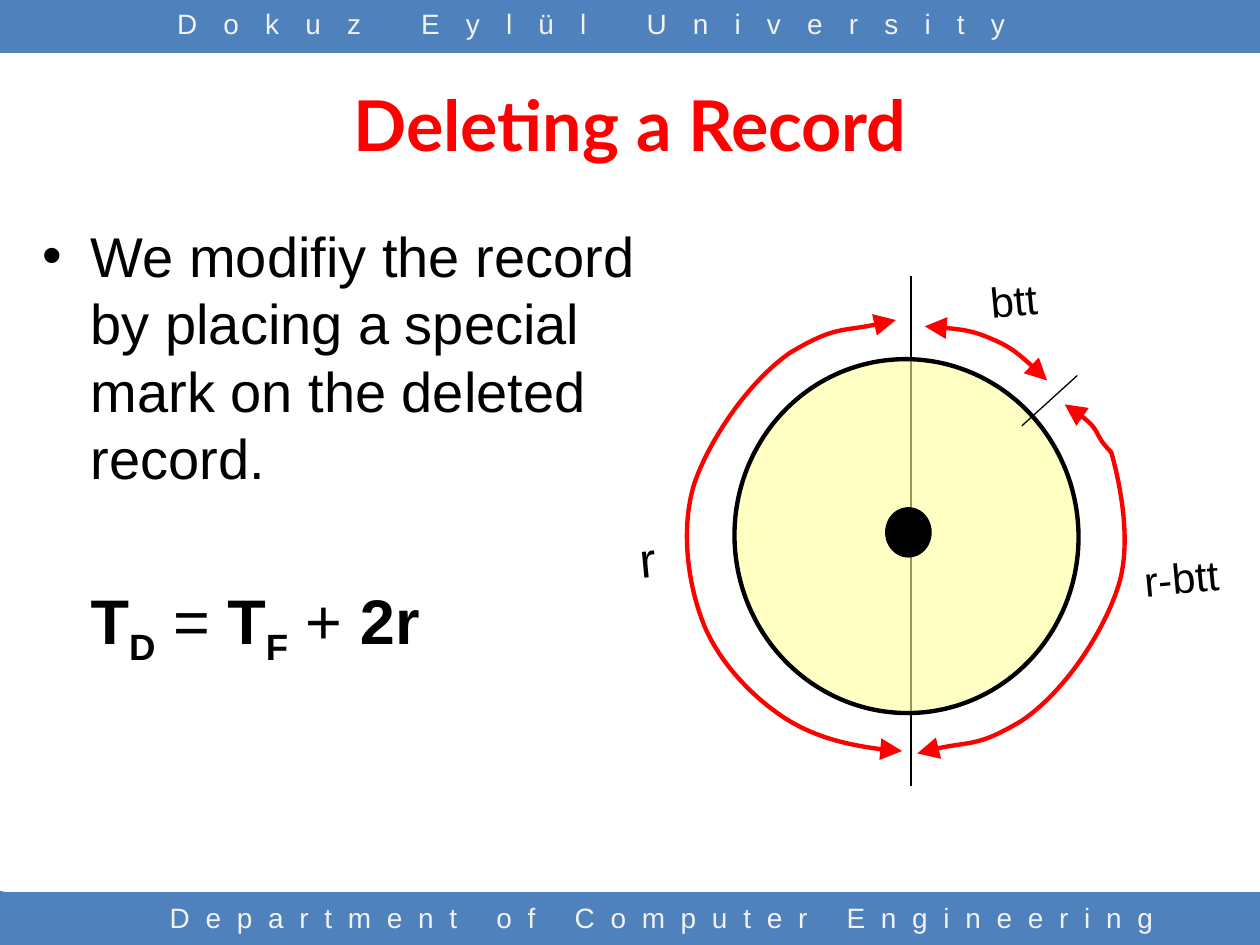
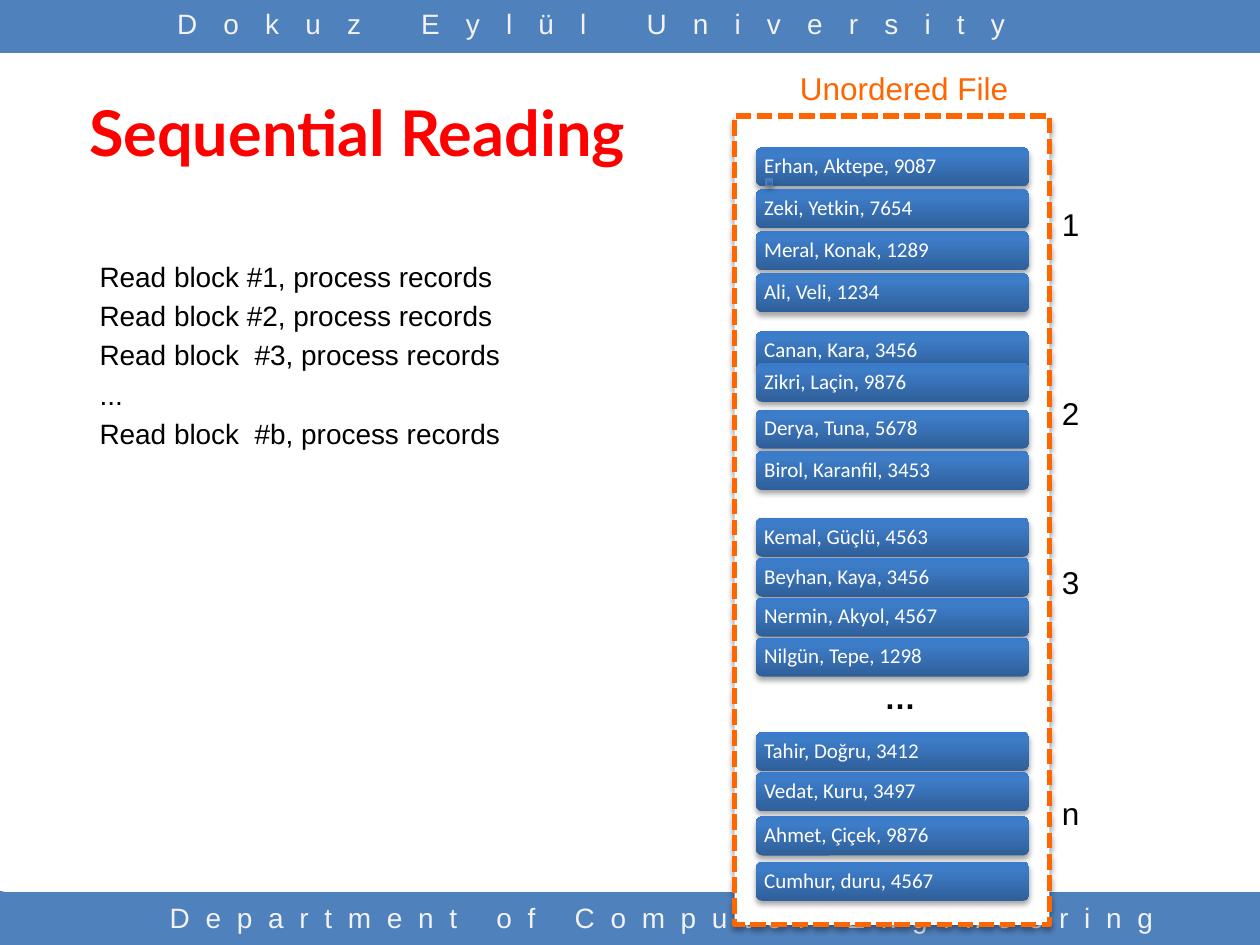
from lxml.etree import SubElement
from pptx import Presentation
from pptx.dml.color import RGBColor
from pptx.enum.dml import MSO_LINE
from pptx.enum.shapes import MSO_CONNECTOR, MSO_SHAPE
from pptx.enum.text import MSO_ANCHOR, MSO_AUTO_SIZE, PP_ALIGN
from pptx.oxml.ns import qn
from pptx.util import Inches, Pt

BAND_BLUE = "4F81BD"
BAND_TEXT = "F2F2F2"
RED = "FF0000"
ORANGE = "FF6600"
BLACK = "000000"
WHITE = "FFFFFF"
DISC_YELLOW = "FFFF99"
SQUARE_EDGE = "4B7EBC"
RECORD_GRADIENT = [(0, "2F5F99"), (80, "3D7CC7"), (100, "3A7CCB")]
LABEL_TILT = -5.5
BAND_HEIGHT = 0.42
BAND_CORNERS = [
    [(0.88, 7.09), (0.92, 7.09), (0.92, 7.5), (0.47, 7.5)],
    [(0.04, 7.08), (0.46, 7.5), (0, 7.5), (0, 7.07)],
]
# Each arc is a start point followed by cubic Bézier control points.
ROTATION_ARC = [
    (7.11, 2.54), (6.71, 2.64), (6.62, 2.59), (6.27, 2.8),
    (5.94, 3.03), (5.63, 3.49), (5.51, 3.84),
    (5.4, 4.2), (5.46, 4.63), (5.58, 4.94),
    (5.7, 5.25), (5.97, 5.53), (6.23, 5.7),
    (6.5, 5.87), (6.97, 5.96), (7.16, 5.96),
]
REMAINING_ARC = [
    (7.28, 5.98), (7.68, 5.87), (7.76, 5.93), (8.11, 5.72),
    (8.45, 5.49), (8.75, 5.03), (8.87, 4.67),
    (8.99, 4.32), (8.89, 3.84), (8.82, 3.59),
    (8.67, 3.44), (8.78, 3.42), (8.45, 3.21),
]
TRANSFER_ARC = [
    (7.34, 2.59), (7.52, 2.6), (7.71, 2.62), (7.87, 2.69),
    (8.04, 2.76), (8.26, 2.96), (8.31, 3.02),
]


def color(hex_string):
    return RGBColor.from_string(hex_string)


def box(left, top, width, height):
    return [Inches(value) for value in (left, top, width, height)]


def evenly(first, last, count=4):
    return [first + (last - first) * index / (count - 1) for index in range(count)]


def set_values(target, values):
    for name, value in values.items():
        setattr(target, name, value)


def format_font(font, size, hex_string=BLACK, name="Arial", bold=False):
    set_values(font, {"size": Pt(size), "name": name, "bold": bold})
    font.color.rgb = color(hex_string)


def set_line(shape, hex_string=None, width=0.75):
    if hex_string is None:
        shape.line.fill.background()
    else:
        shape.line.color.rgb = color(hex_string)
        shape.line.width = Pt(width)


def style_shape(shape, fill=None, line=None, width=0.75):
    shape.shadow.inherit = False
    if fill is None:
        shape.fill.background()
    else:
        shape.fill.solid()
        shape.fill.fore_color.rgb = color(fill)
    set_line(shape, line, width)


def add_preset(slide, kind, place, fill, line=None, width=0.75):
    shape = slide.shapes.add_shape(kind, *box(*place))
    style_shape(shape, fill, line, width)
    return shape


def add_soft_shadow(shape):
    effects = shape._element.spPr.find(qn("a:effectLst"))
    shadow = SubElement(effects, qn("a:outerShdw"), blurRad=str(Pt(3.1)),
                        dist=str(Pt(1.8)), dir="5400000", rotWithShape="0")
    shade = SubElement(shadow, qn("a:srgbClr"), val=BLACK)
    SubElement(shade, qn("a:alpha"), val="35000")


def fill_with_gradient(shape):
    shape.fill.gradient()
    shape.fill.gradient_angle = 90
    stops = shape._element.spPr.find(qn("a:gradFill")).find(qn("a:gsLst"))
    for stop in list(stops):
        stops.remove(stop)
    for position, hex_string in RECORD_GRADIENT:
        stop = SubElement(stops, qn("a:gs"), pos=str(position * 1000))
        SubElement(stop, qn("a:srgbClr"), val=hex_string)


def add_outline(slide, points, close):
    corners = [(Inches(x), Inches(y)) for x, y in points]
    builder = slide.shapes.build_freeform(*corners[0], scale=1.0)
    builder.add_line_segments(corners[1:], close=close)
    return builder.convert_to_shape()


def bend_segments(shape):
    """Turn every three straight segments into one cubic Bézier curve."""
    segments = list(shape._element.spPr.iter(qn("a:lnTo")))
    outline = segments[0].getparent()
    for start in range(0, len(segments), 3):
        curve = SubElement(outline, qn("a:cubicBezTo"))
        for segment in segments[start:start + 3]:
            curve.append(segment[0])
            outline.remove(segment)


def add_double_arrow(slide, controls):
    arc = add_outline(slide, controls, close=False)
    bend_segments(arc)
    style_shape(arc, line=RED, width=2.5)
    line = arc._element.spPr.find(qn("a:ln"))
    for end in ("a:headEnd", "a:tailEnd"):
        SubElement(line, qn(end), type="triangle", w="lg", len="lg")


def add_straight_line(slide, start, end):
    line = slide.shapes.add_connector(
        MSO_CONNECTOR.STRAIGHT, *[Inches(value) for value in (*start, *end)])
    set_line(line, BLACK)
    SubElement(line._element.spPr, qn("a:effectLst"))


def add_label(slide, text, place, size, hex_string=BLACK, bold=False, rotation=0):
    label = slide.shapes.add_textbox(*box(*place))
    label.rotation = rotation
    label.text_frame.word_wrap = False
    paragraph = label.text_frame.paragraphs[0]
    paragraph.text = text
    format_font(paragraph.font, size, hex_string, bold=bold)


def add_band_text(slide, text, place, spacing):
    caption = slide.shapes.add_textbox(*box(*place))
    caption.text_frame.word_wrap = True
    paragraph = caption.text_frame.paragraphs[0]
    paragraph.alignment = PP_ALIGN.CENTER
    run = paragraph.add_run()
    run.text = text
    format_font(run.font, 16, BAND_TEXT)
    run._r.get_or_add_rPr().set("spc", str(spacing * 100))


def add_bands(slide):
    for top in (0, 7.5 - BAND_HEIGHT):
        add_preset(slide, MSO_SHAPE.RECTANGLE, (0, top, 10, BAND_HEIGHT), BAND_BLUE)
    for points in BAND_CORNERS:
        style_shape(add_outline(slide, points, close=True), BAND_BLUE)
    add_band_text(slide, "Department of Computer Engineering", (0.92, 7.1, 8.67, 0.4), 9)
    add_band_text(slide, "Dokuz Eylül University", (0.65, 0, 8.09, BAND_HEIGHT), 15)


def place_placeholder(placeholder, place, anchor):
    set_values(placeholder, dict(zip(("left", "top", "width", "height"), box(*place))))
    set_values(placeholder.text_frame, {
        "auto_size": MSO_AUTO_SIZE.NONE, "word_wrap": True, "vertical_anchor": anchor})
    return placeholder.text_frame


def start_slide(presentation, title, title_place, title_size, body_place):
    """Add a slide with bands and title; return it with its body text frame."""
    slide = presentation.slides.add_slide(presentation.slide_layouts[1])
    add_bands(slide)
    heading = place_placeholder(slide.shapes.title, title_place, MSO_ANCHOR.MIDDLE)
    heading.text = title
    paragraph = heading.paragraphs[0]
    paragraph.alignment = PP_ALIGN.CENTER
    format_font(paragraph.runs[0].font, title_size, RED, "Lato", True)
    body = place_placeholder(slide.placeholders[1], body_place, MSO_ANCHOR.TOP)
    return slide, body


def indent_paragraph(paragraph, margin, indent, bullet=False):
    properties = paragraph._p.get_or_add_pPr()
    properties.set("marL", str(Inches(margin)))
    properties.set("indent", str(Inches(indent)))
    if bullet:
        SubElement(properties, qn("a:buFont"), typeface="Arial")
        SubElement(properties, qn("a:buChar"), char="•")
    else:
        SubElement(properties, qn("a:buNone"))


def write_deletion_text(body):
    statement = body.paragraphs[0]
    indent_paragraph(statement, 0.38, -0.38, bullet=True)
    statement.space_before = Pt(0)
    run = statement.add_run()
    run.text = "We modifiy the record by placing a special mark on the deleted record."
    format_font(run.font, 32)

    formula = body.add_paragraph()
    indent_paragraph(formula, 0.38, 0)
    formula.space_before = Pt(52)
    for text, bold, subscript in [
            ("T", True, False), ("D", True, True), (" = ", False, False),
            ("T", True, False), ("F", True, True), (" + ", False, False),
            ("2r", True, False)]:
        run = formula.add_run()
        run.text = text
        format_font(run.font, 36, bold=bold)
        if subscript:
            run._r.get_or_add_rPr().set("baseline", "-25000")


def draw_disk(slide):
    add_straight_line(slide, (7.23, 6.24), (7.23, 2.19))
    add_double_arrow(slide, ROTATION_ARC)
    disc = add_preset(slide, MSO_SHAPE.OVAL, (5.83, 2.85, 2.73, 2.81),
                      DISC_YELLOW, BLACK, 2.5)
    disc.rotation = LABEL_TILT
    disc_color = disc._element.spPr.find(qn("a:solidFill")).find(qn("a:srgbClr"))
    SubElement(disc_color, qn("a:alpha"), val="59000")
    add_double_arrow(slide, REMAINING_ARC)
    add_straight_line(slide, (8.11, 3.38), (8.55, 2.98))
    add_double_arrow(slide, TRANSFER_ARC)
    for text, place, size in [("r", (4.98, 4.15, 0.33, 0.57), 28),
                              ("btt", (7.76, 2.13, 0.58, 0.5), 24),
                              ("r-btt", (8.98, 4.33, 0.8, 0.5), 24)]:
        add_label(slide, text, place, size, rotation=LABEL_TILT)
    add_preset(slide, MSO_SHAPE.OVAL, (7.03, 4.03, 0.36, 0.39), BLACK, BLACK)


def write_reading_steps(body):
    steps = ["Read block #1, process records", "Read block #2, process records",
             "Read block  #3, process records", "...",
             "Read block  #b, process records"]
    for index, step in enumerate(steps):
        paragraph = body.add_paragraph() if index else body.paragraphs[0]
        indent_paragraph(paragraph, 0, 0)
        paragraph.space_before = Pt(3.2 if index else 0)
        run = paragraph.add_run()
        run.text = step
        format_font(run.font, 16)


def add_record(slide, text, top):
    record = add_preset(slide, MSO_SHAPE.ROUNDED_RECTANGLE, (6, top, 2.17, 0.31), WHITE)
    fill_with_gradient(record)
    add_soft_shadow(record)
    margins = ("margin_left", "margin_right", "margin_top", "margin_bottom")
    set_values(record.text_frame, dict.fromkeys(margins, Inches(0.05)))
    set_values(record.text_frame, {
        "word_wrap": True, "vertical_anchor": MSO_ANCHOR.MIDDLE})
    paragraph = record.text_frame.paragraphs[0]
    paragraph.text = text
    set_values(paragraph, {"alignment": PP_ALIGN.LEFT, "line_spacing": 0.9})
    format_font(paragraph.font, 12, WHITE, "Calibri")


def draw_unordered_file(slide):
    frame = add_preset(slide, MSO_SHAPE.RECTANGLE, (5.83, 0.92, 2.5, 6.42),
                       WHITE, ORANGE, 3)
    frame.line.dash_style = MSO_LINE.SQUARE_DOT
    add_soft_shadow(frame)
    blocks = [
        ("1", 1.58, evenly(1.17, 2.17),
         ["Erhan, Aktepe, 9087", "Zeki, Yetkin, 7654", "Meral, Konak, 1289", "Ali, Veli, 1234"]),
        ("2", 3.08, [2.63, 2.88, 3.25, 3.58],
         ["Canan, Kara, 3456", "Zikri, Laçin, 9876", "Derya, Tuna, 5678", "Birol, Karanfil, 3453"]),
        ("3", 4.42, evenly(4.11, 5.06),
         ["Kemal, Güçlü, 4563", "Beyhan, Kaya, 3456", "Nermin, Akyol, 4567", "Nilgün, Tepe, 1298"]),
        ("n", 6.25, [5.81, 6.13, 6.48, 6.84],
         ["Tahir, Doğru, 3412", "Vedat, Kuru, 3497", "Ahmet, Çiçek, 9876", "Cumhur, duru, 4567"]),
    ]
    for number, number_top, tops, records in blocks:
        for text, top in zip(records, tops):
            add_record(slide, text, top)
        add_label(slide, number, (8.33, number_top, 0.34, 0.4), 18)
    add_label(slide, "Unordered File", (6.25, 0.5, 1.87, 0.4), 18, ORANGE)
    add_label(slide, "…", (6.92, 5.33, 0.45, 0.4), 18, bold=True)
    square = add_preset(slide, MSO_SHAPE.RECTANGLE, (6.08, 1.42, 0.05, 0.05),
                        WHITE, SQUARE_EDGE)
    fill_with_gradient(square)
    add_soft_shadow(square)


def main():
    presentation = Presentation()
    set_values(presentation, {"slide_width": Inches(10), "slide_height": Inches(7.5)})
    slide, body = start_slide(presentation, "Deleting a Record", (0.5, 0.41, 9, 1.14), 40,
                              (0.24, 1.71, 4.98, 5.19))
    write_deletion_text(body)
    draw_disk(slide)
    slide, body = start_slide(presentation, "Sequential Reading", (0.25, 0.58, 5.17, 0.92), 36,
                              (0.69, 2.01, 4.89, 5.12))
    write_reading_steps(body)
    draw_unordered_file(slide)
    presentation.save("out.pptx")


if __name__ == "__main__":
    main()
